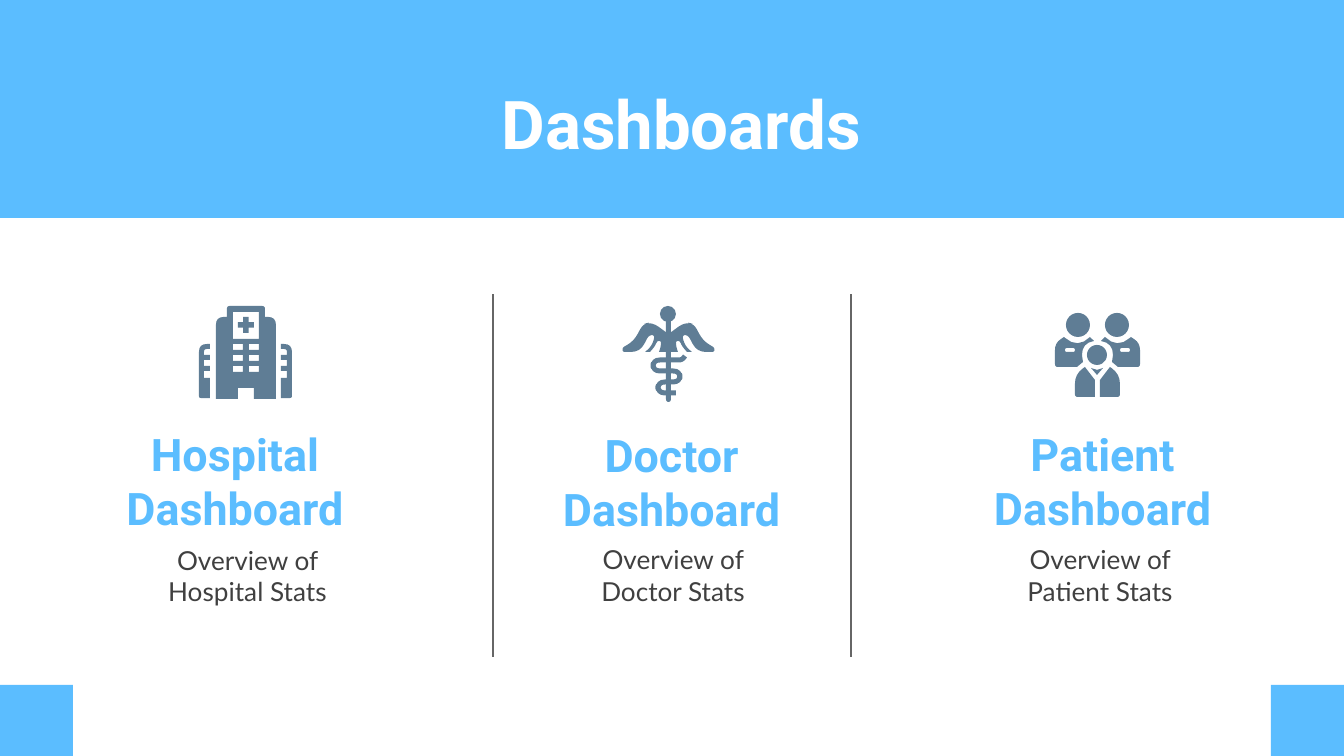
from math import dist

from lxml.etree import SubElement
from pptx import Presentation
from pptx.dml.color import RGBColor
from pptx.enum.shapes import MSO_CONNECTOR, MSO_SHAPE
from pptx.enum.text import MSO_ANCHOR, MSO_AUTO_SIZE, PP_ALIGN
from pptx.oxml.ns import qn
from pptx.util import Pt

PX = 914400 / 134.4
COLORS = {name: RGBColor.from_string(code) for name, code in {
    "blue": "5BBDFF", "slate": "5F7D95", "rule": "666666",
    "text": "404040", "white": "FFFFFF"}.items()}

deck = Presentation()
deck.slide_width, deck.slide_height = round(1344 * PX), round(756 * PX)
slide = deck.slides.add_slide(deck.slide_layouts[5])
shapes = slide.shapes


def trace(loops, closed=True):
    """Build one freeform; a point (x, y, r) is a corner rounded over length r."""
    pen = None
    for loop in loops:
        points = []
        for i, (x, y, *r) in enumerate(loop):
            if not r:
                points.append((x, y))
                continue
            ends = []
            for near in (loop[i - 1], loop[(i + 1) % len(loop)]):
                t = min(1, r[0] / dist((x, y), near[:2]))
                ends.append((x + (near[0] - x) * t, y + (near[1] - y) * t))
            (ax, ay), (bx, by) = ends
            for t in (0, 0.25, 0.5, 0.75, 1):
                a, m, b = (1 - t) ** 2, 2 * t * (1 - t), t ** 2
                points.append((a * ax + m * x + b * bx, a * ay + m * y + b * by))
        points = [(round(x * PX), round(y * PX)) for x, y in points]
        if pen is None:
            pen = shapes.build_freeform(*points[0])
        else:
            pen.move_to(*points[0])
        pen.add_line_segments(points[1:], close=closed)
    form = pen.convert_to_shape()
    form.shadow.inherit = False
    form.fill.solid()
    form.fill.fore_color.rgb = COLORS["slate"]
    form.line.fill.background()
    return form


def write(shape, text, font, size, color, bold, anchor):
    frame = shape.text_frame
    frame.word_wrap = True
    frame.auto_size = MSO_AUTO_SIZE.NONE
    frame.vertical_anchor = anchor
    frame.margin_left = frame.margin_right = round(13 * PX)
    frame.margin_top = frame.margin_bottom = round(13 * PX)
    frame.text = text
    para = frame.paragraphs[0]
    para.alignment = PP_ALIGN.CENTER
    para.font.name, para.font.size, para.font.bold = font, Pt(size), bold
    para.font.color.rgb = COLORS[color]


# Band, corner squares and the simple parts of the icons
for kind, color, *box in (
    (MSO_SHAPE.RECTANGLE, "blue", 0, 0, 1344, 218),
    (MSO_SHAPE.RECTANGLE, "blue", 0, 685, 73, 71),
    (MSO_SHAPE.RECTANGLE, "blue", 1271, 685, 73, 71),
    (MSO_SHAPE.CROSS, "slate", 238, 317, 16, 16),
    (MSO_SHAPE.OVAL, "slate", 660, 306, 16, 16),
    (MSO_SHAPE.OVAL, "slate", 1066, 313, 24, 24),
    (MSO_SHAPE.OVAL, "slate", 1105, 313, 24, 24),
    (MSO_SHAPE.OVAL, "slate", 1087, 345, 20, 20),
):
    part = shapes.add_shape(kind, *[round(v * PX) for v in box])
    part.shadow.inherit = False
    part.fill.solid()
    part.fill.fore_color.rgb = COLORS[color]
    part.line.fill.background()
    if kind == MSO_SHAPE.CROSS:
        part.adjustments[0] = 0.33

for x in (493, 851):
    rule = shapes.add_connector(MSO_CONNECTOR.STRAIGHT, *[
        round(v * PX) for v in (x, 657, x, 294)])
    rule.line.color.rgb = COLORS["rule"]
    rule.line.width = Pt(0.75)
    SubElement(rule.element.spPr, qn("a:effectLst"))

# Hospital: main block with its windows cut out
tower = [(227, 306, 3), (265, 306, 3), (265, 317), (276, 317, 8), (276, 399),
         (254, 399), (254, 388), (238, 388), (238, 399), (216, 399),
         (216, 317, 8), (227, 317)]
panes = [(233, 312, 26, 27)]
panes += [(x, y, 10, 6) for y in (344, 355, 366) for x in (233, 249)]
trace([tower] + [[(x, y), (x + w, y), (x + w, y + h), (x, y + h)]
                 for x, y, w, h in panes])

# Doctor: staff and snake
trace([[(666, 320), (671, 320), (671, 402, 3), (666, 402, 3)]])
snake = trace([[(685, 356), (682, 360, 3), (653, 360, 7), (653, 371, 7),
                (680, 371, 7), (680, 382, 7), (658, 382, 7), (658, 393, 7),
                (676, 393)]], closed=False)
snake.fill.background()
snake.line.color.rgb = COLORS["slate"]
snake.line.width = round(5 * PX)

# Left halves, each mirrored across the axis of its icon
annex = [(210, 344), (199, 344, 8), (199, 398, 2), (210, 398), (210, 378),
         (204, 378), (204, 371), (210, 371), (210, 366), (204, 366),
         (204, 360), (210, 360), (210, 355), (204, 355), (204, 349, 3),
         (210, 349)]
wing = [(667, 333), (652, 322, 8), (643, 324, 6), (634, 341, 8), (622, 348, 3),
        (623, 352, 2), (640, 352, 9), (649, 335, 4), (655, 335, 4),
        (652, 346, 6), (645, 352), (650, 352), (656, 345, 5), (657, 341, 2),
        (661, 341, 2), (661, 346, 4), (659, 352), (667, 352)]
adult = [(1064, 337), (1055, 343, 7), (1055, 367, 3), (1077, 367), (1083, 362),
         (1082, 355), (1082, 343, 12), (1094, 341), (1090, 337),
         (1078, 349, 17)]
badge = [(1065, 348, 2), (1075, 348, 2), (1075, 352, 2), (1065, 352, 2)]
child = [(1085, 367), (1075, 374, 10), (1075, 397, 3), (1095, 397), (1095, 380)]
for axis, half in ((491, [annex]), (1337, [wing]), (2195, [adult, badge]),
                   (2195, [child])):
    trace(half)
    trace([[(axis - x, *rest) for x, *rest in loop] for loop in half])
trace([[(1091, 368), (1097, 370), (1103, 368), (1097, 375)]])

# Title, drawn above the band
title = shapes.title
title.left, title.top, title.width, title.height = [
    round(v * PX) for v in (0, 69, 1344, 103)]
write(title, "Dashboards", "Roboto", 36, "white", True, MSO_ANCHOR.TOP)
title.text_frame.margin_left = round(32 * PX)
title.element.getparent().append(title.element)

for name, head, note in (
    ("Hospital", (78, 435, 314, 91), (128, 536, 239, 79)),
    ("Doctor", (521, 435, 301, 93), (558, 536, 230, 78)),
    ("Patient", (952, 434, 301, 93), (985, 536, 230, 78)),
):
    for box, text, style in (
        (head, f"{name} Dashboard", ("Roboto", 24, "blue", True)),
        (note, f"Overview of {name} Stats", ("Lato", 14, "text", False)),
    ):
        label = shapes.add_textbox(*[round(v * PX) for v in box])
        write(label, text, *style, MSO_ANCHOR.MIDDLE)

deck.save("out.pptx")
